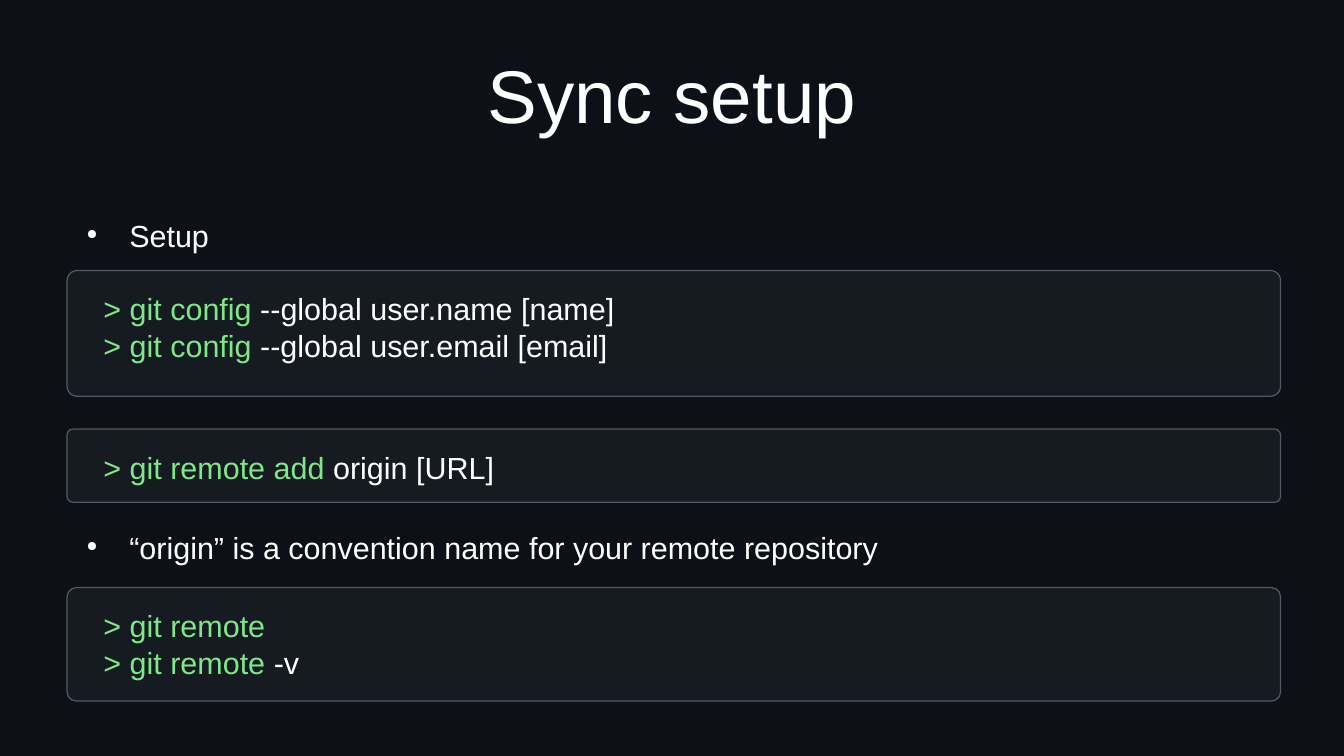
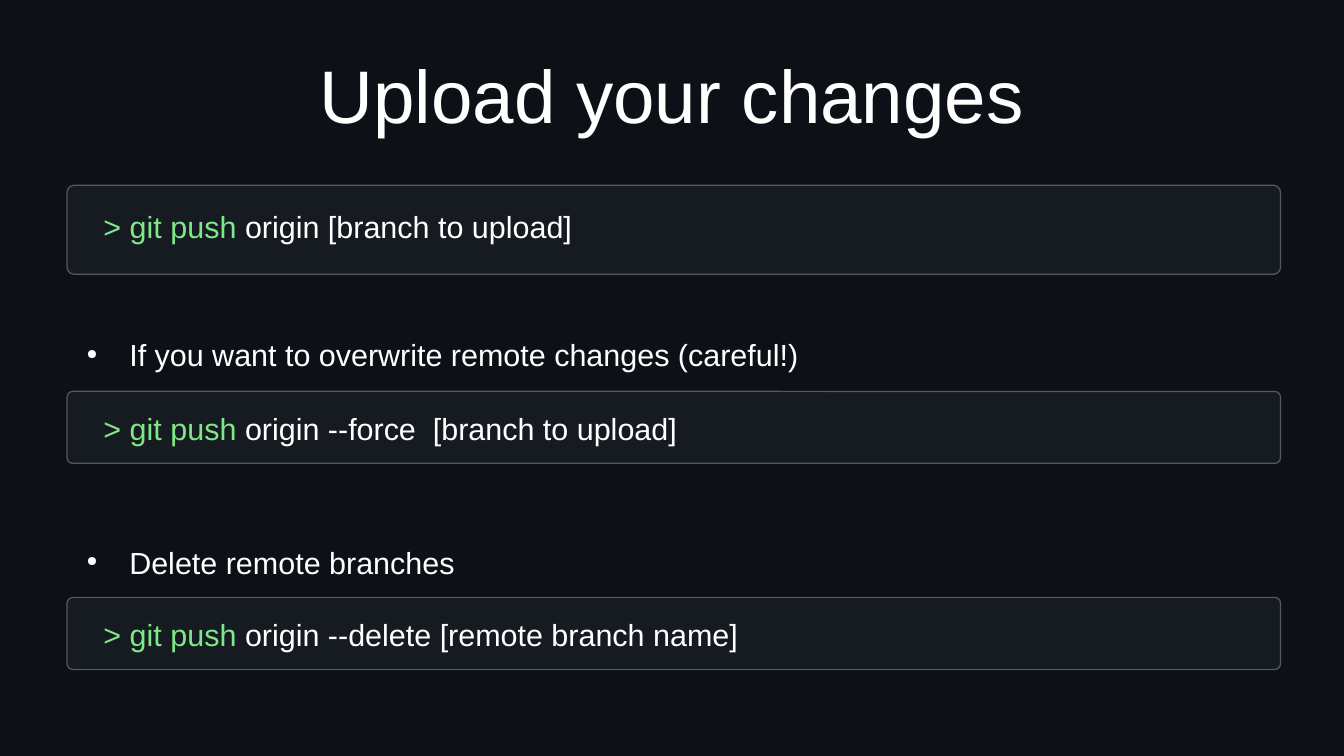
import pptx
import pptx.util
import pptx.dml.color
import pptx.enum.shapes
import pptx.enum.text
import pptx.oxml
import pptx.oxml.ns

Pt = pptx.util.Pt
FONT = "Arial"
COLORS = {
    "back": "0D1117",
    "panel": "161B22",
    "edge": "535960",
    "code": "7EE787",
    "text": "FFFFFF",
}
WIDE, HIGH = 793.44, 446.4
LEFT = 39.6
TITLE = (LEFT, 18, 714.24, 74.88)
LINE = 21

# Each block is (kind, top, height, content, inner top gap).
SLIDES = [
    ("Sync setup", [
        ("bullet", 128.2, 24.5, "Setup", 0),
        ("panel", 159.8, 74.2, [
            ("> git config", " --global user.name [name]"),
            ("> git config ", "--global user.email [email]"),
        ], 8),
        ("panel", 253.4, 43.2, [("> git remote add ", "origin [URL]")], 8),
        ("bullet", 312.5, 24.5,
         "“origin” is a convention name for your remote repository", 0),
        ("panel", 347, 67, [("> git remote", ""), ("> git remote ", "-v")], 8),
    ]),
    ("Upload your changes", [
        ("panel", 109.4, 52.6, [("> git push ", "origin [branch to upload]")], 10),
        ("bullet", 198.7, 24.5,
         "If you want to overwrite remote changes (careful!)", 0),
        ("panel", 231.1, 42.5,
         [("> git push ", "origin --force  [branch to upload]")], 7.2),
        ("bullet", 321.1, 24.5, "Delete remote branches", 0),
        ("panel", 352.8, 42.5,
         [("> git push ", "origin --delete [remote branch name]")], 7.2),
    ]),
]


def color(name):
    return pptx.dml.color.RGBColor.from_string(COLORS[name])


def write(par, text, size=18, tint="text"):
    """Add one formatted run to a paragraph."""
    run = par.add_run()
    run.text = text
    run.font.name = FONT
    run.font.size = Pt(size)
    run.font.color.rgb = color(tint)


def inset(frame, across=0, down=0):
    frame.word_wrap = True
    frame.margin_left = frame.margin_right = Pt(across)
    frame.margin_top = frame.margin_bottom = Pt(down)


def add_title(slide, box, text):
    title = slide.shapes.title
    title.left, title.top, title.width, title.height = map(Pt, box)
    frame = title.text_frame
    inset(frame)
    frame.vertical_anchor = pptx.enum.text.MSO_ANCHOR.MIDDLE
    par = frame.paragraphs[0]
    par.alignment = pptx.enum.text.PP_ALIGN.CENTER
    write(par, text, size=44)


def add_bullet(slide, box, text, gap):
    left, top, wide, high = box
    area = slide.shapes.add_textbox(
        Pt(left + 2.9), Pt(top + gap), Pt(wide - 2.16), Pt(high))
    inset(area.text_frame)
    par = area.text_frame.paragraphs[0]
    write(par, text)
    props = par._p.get_or_add_pPr()
    props.set("marL", str(Pt(33.84)))
    props.set("indent", str(Pt(-25.2)))
    space = pptx.oxml.ns.nsdecls("a")
    for mark in (
        f'<a:buClr {space}><a:srgbClr val="{COLORS["text"]}"/></a:buClr>',
        f'<a:buSzPct {space} val="45000"/>',
        f'<a:buChar {space} char="●"/>',
    ):
        props.append(pptx.oxml.parse_xml(mark))


def add_panel(slide, box, lines, gap):
    """Draw a code panel with (command, rest) lines inside it."""
    left, top, wide, high = box
    panel = slide.shapes.add_shape(
        pptx.enum.shapes.MSO_SHAPE.ROUNDED_RECTANGLE, *map(Pt, box))
    panel.adjustments[0] = 0.08
    panel.shadow.inherit = False
    panel.fill.solid()
    panel.fill.fore_color.rgb = color("panel")
    panel.line.color.rgb = color("edge")
    panel.line.width = Pt(0)

    area = slide.shapes.add_textbox(
        Pt(left + 14.4), Pt(top + gap),
        Pt(wide - 14.4), Pt(LINE * len(lines) + 7.2))
    frame = area.text_frame
    inset(frame, across=7.2, down=3.6)
    for index, (code, rest) in enumerate(lines):
        par = frame.add_paragraph() if index else frame.paragraphs[0]
        write(par, code, tint="code")
        if rest:
            write(par, rest)


def add_slide(deck, title, blocks):
    slide = deck.slides.add_slide(deck.slide_layouts[5])
    add_title(slide, TITLE, title)
    draw = {"bullet": add_bullet, "panel": add_panel}
    for kind, top, high, content, gap in blocks:
        draw[kind](slide, (LEFT, top, 716.4, high), content, gap)


def main():
    deck = pptx.Presentation()
    deck.slide_width, deck.slide_height = Pt(WIDE), Pt(HIGH)
    fill = deck.slide_master.background.fill
    fill.solid()
    fill.fore_color.rgb = color("back")
    for title, blocks in SLIDES:
        add_slide(deck, title, blocks)
    deck.save("out.pptx")


if __name__ == "__main__":
    main()
